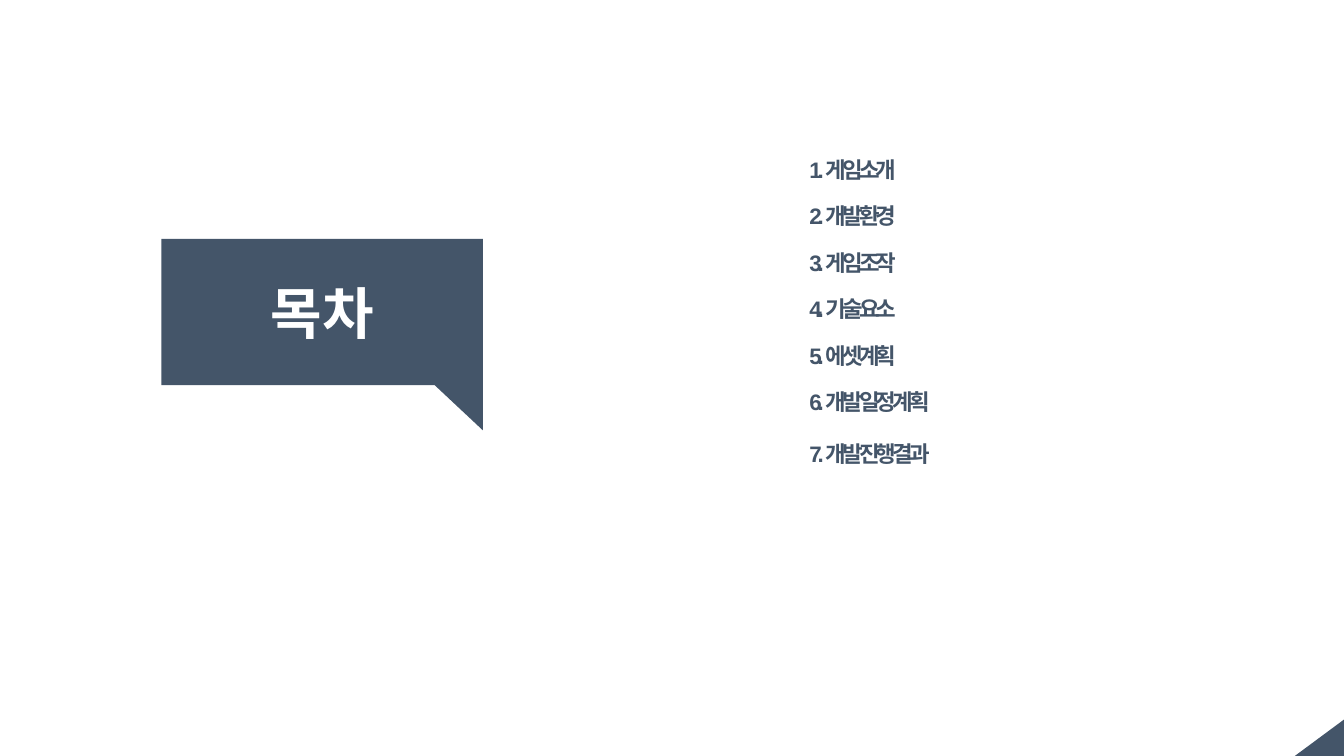
from pptx import Presentation
from pptx.dml.color import RGBColor
from pptx.enum.shapes import MSO_SHAPE as Preset
from pptx.enum.text import MSO_ANCHOR as Anchor, MSO_AUTO_SIZE as AutoSize, PP_ALIGN as Align
from pptx.util import Inches, Pt

COLOURS = {"slate": "445569", "white": "FFFFFF"}
TOPICS = ["게임 소개", "개발 환경", "게임 조작", "기술 요소", "에셋 계획", "개발 일정 계획", "개발 진행 결과"]
FIRST_TOP = 1.55
TOPIC_STEP = 0.46
LAST_EXTRA_GAP = 0.06


def colour(name):
    return RGBColor.from_string(COLOURS[name])


def style_font(para, face, size, shade):
    para.font.name = face
    para.font.size = Pt(size)
    para.font.bold = True
    para.font.color.rgb = colour(shade)


def add_triangle(page, left, top, width, height, rotation):
    triangle = page.shapes.add_shape(
        Preset.RIGHT_TRIANGLE, Inches(left), Inches(top), Inches(width), Inches(height))
    triangle.rotation = rotation
    triangle.shadow.inherit = False
    triangle.fill.solid()
    triangle.fill.fore_color.rgb = colour("slate")
    triangle.line.fill.background()


def format_title(page, text):
    title = page.shapes.title
    title.left, title.top = Inches(1.6), Inches(2.37)
    title.width, title.height = Inches(3.19), Inches(1.45)
    title.fill.solid()
    title.fill.fore_color.rgb = colour("slate")
    frame = title.text_frame
    frame.text = text
    frame.auto_size = AutoSize.NONE
    frame.vertical_anchor = Anchor.MIDDLE
    para = frame.paragraphs[0]
    para.alignment = Align.CENTER
    style_font(para, "Calibri", 40, "white")


def add_topic(page, top, text):
    box = page.shapes.add_textbox(Inches(7.93), Inches(top), Inches(3.51), Inches(0.27))
    frame = box.text_frame
    frame.word_wrap = True
    frame.auto_size = AutoSize.SHAPE_TO_FIT_TEXT
    frame.margin_top = frame.margin_bottom = 0
    para = frame.paragraphs[0]
    span = para.add_run()
    span.text = text
    span.font._element.set("spc", "-300")
    style_font(para, "Arial", 16, "slate")


def main():
    deck = Presentation()
    deck.slide_width, deck.slide_height = Inches(13.33), Inches(7.5)
    page = deck.slides.add_slide(deck.slide_layouts[5])
    add_triangle(page, 12.9, 7.07, 0.37, 0.5, 270)
    format_title(page, "목차")
    add_triangle(page, 4.31, 3.82, 0.48, 0.45, 180)
    for index, topic in enumerate(TOPICS):
        gap = LAST_EXTRA_GAP if index == len(TOPICS) - 1 else 0
        add_topic(page, FIRST_TOP + index * TOPIC_STEP + gap, f"{index + 1}. {topic}")
    deck.save("out.pptx")


if __name__ == "__main__":
    main()
